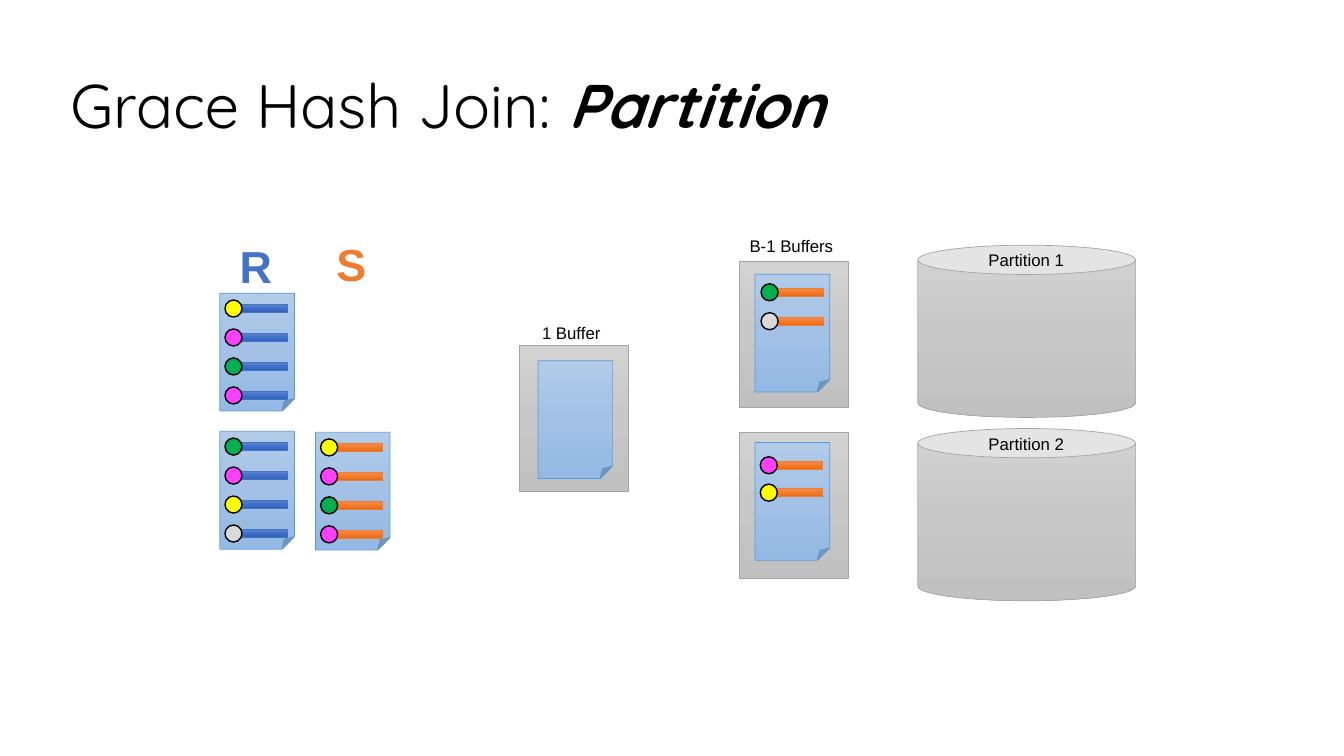
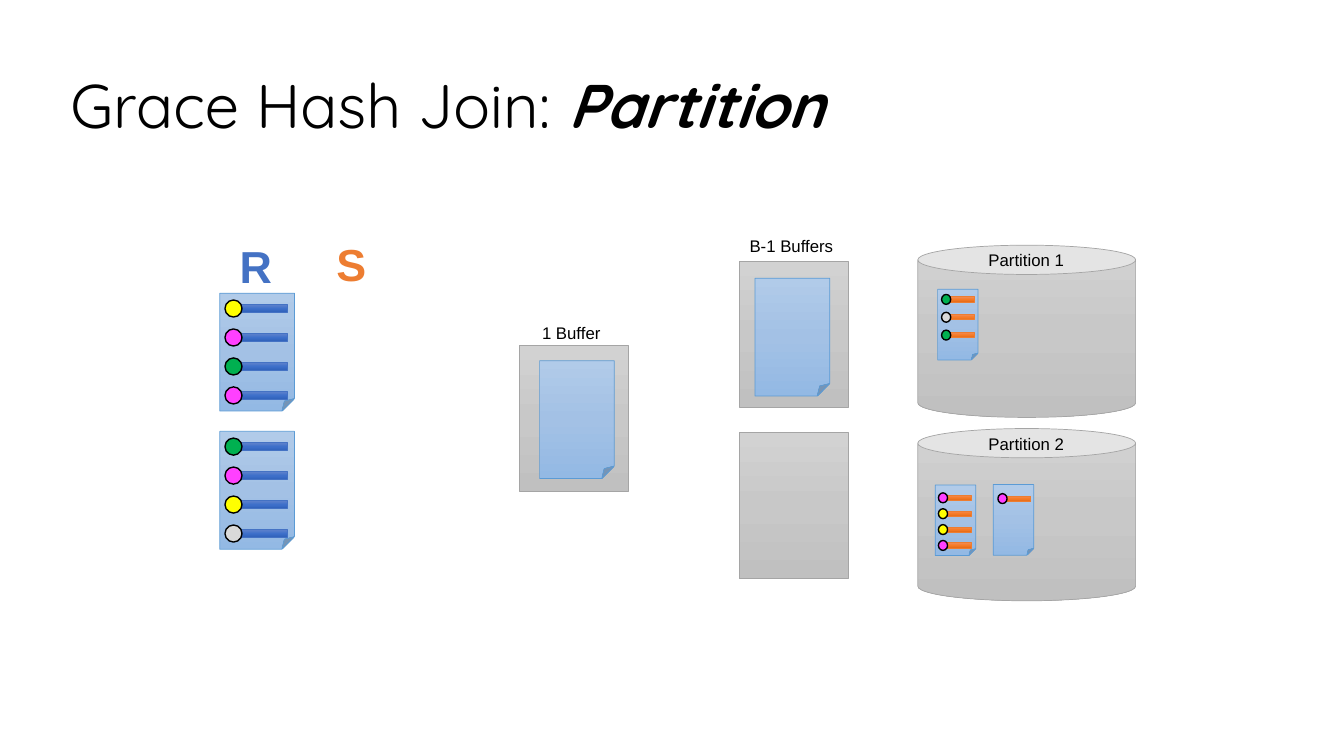
import copy
import pptx
import pptx.dml.color
import pptx.enum.shapes
import pptx.enum.text
import pptx.oxml.ns
import pptx.util

Cm = pptx.util.Cm
Pt = pptx.util.Pt
KIND = pptx.enum.shapes.MSO_SHAPE
FIT = pptx.enum.text.MSO_AUTO_SIZE

BLACK, BLUE, ORANGE = "000000", "4472C4", "ED7D31"
# Gradient stops from top to bottom, then the outline
GREY = ("D2D2D2", "C8C8C8", "C0C0C0", "A5A5A5")
PAPER = ("B1CBE9", "A3C1E5", "93B9E4", "5B9BD5")
BARS = {"R": ("6183CB", "3E70CA", "3062BB", BLUE),
        "S": ("F18C57", "F67B28", "E56C19", ORANGE)}
DOTS = {"y": "FFFF00", "p": "FF40FF", "g": "00B050", "w": "D9D9D9"}

# Lengths in cm; dx, dy place the first dot on its page
BIG = dict(page=(1.88, 2.97), dot=(0.43, 0.43), bar=(1.32, 0.2),
           shift=0.25, dx=0.13, dy=0.17, step=0.73)
SMALL = dict(page=(1.02, 1.78), dot=(0.23, 0.25), bar=(0.71, 0.13),
             shift=0.12, dx=0.08, dy=0.2, step=0.4)

TITLE = [("Grace Hash Join:", {}), (" Partition", dict(bold=True, italic=True))]
BUFFER, DISK = (2.74, 3.68), (5.49, 4.34)
BUFFERS = [(18.63, 6.58), (18.63, 10.9), (13.1, 8.71)]
DISKS = [(23.13, 6.18, "Partition 1"), (23.13, 10.8, "Partition 2")]
TAGS = [("B-1 Buffers", 18.64, 5.82, 2.64, {}),
        ("1 Buffer", 13.41, 8.0, 2.01, {}),
        ("R", 5.79, 5.89, 1.35, dict(size=32, bold=True, color=BLUE)),
        ("S", 8.23, 5.84, 1.27, dict(size=32, bold=True, color=ORANGE))]

# Pages: left, top, table, dots, size and changes to it
INPUT = [(5.54, 7.39, "R", "ypgp", BIG, {}),
         (5.54, 10.87, "R", "gpyw", BIG, {})]
STEPS = [
    [(7.95, 10.89, "S", "ypgp", BIG, {}),
     (19.03, 6.91, "S", "gw", BIG, dict(dx=0.15, dy=0.24)),
     (19.03, 11.15, "S", "py", BIG, dict(dy=0.36, step=0.69)),
     (13.56, 9.09, "S", "", BIG, {})],
    [(19.03, 7.01, "S", "", BIG, {}),
     (13.6, 9.09, "S", "", BIG, {}),
     (23.57, 12.22, "S", "pyyp", SMALL, {}),
     (23.63, 7.29, "S", "gwg", SMALL, dict(dx=0.1, dy=0.13, step=0.45)),
     (25.03, 12.21, "S", "p", SMALL, dict(dx=0.12, dy=0.23))],
]


def rgb(code):
    return pptx.dml.color.RGBColor.from_string(code)


def write(para, text, size=12, font="Arial", color=BLACK, bold=False, italic=False):
    run = para.add_run()
    run.text = text
    face = run.font
    face.name, face.size, face.bold, face.italic = font, Pt(size), bold, italic
    face.color.rgb = rgb(color)


def shade(fill, node, stops):
    """Fill from top to bottom with three evenly spaced colours."""
    fill.gradient()
    fill.gradient_angle = 270
    held = node.find(".//" + pptx.oxml.ns.qn("a:gsLst"))
    held.append(copy.deepcopy(held[0]))
    for i, (stop, code) in enumerate(zip(fill.gradient_stops, stops)):
        stop.color.rgb = rgb(code)
        stop.position = i / 2


def draw(shapes, kind, x, y, size, paint, line=0.5):
    """Add a shape; paint is one colour, or three stops and an outline."""
    shape = shapes.add_shape(kind, Cm(x), Cm(y), *map(Cm, size))
    shape.shadow.inherit = False
    if isinstance(paint, str):
        shape.fill.solid()
        shape.fill.fore_color.rgb = rgb(paint)
        edge = BLACK
    else:
        shade(shape.fill, shape.element, paint[:3])
        edge = paint[3]
    shape.line.color.rgb = rgb(edge)
    shape.line.width = Pt(line)
    return shape


def tag(slide, text, x, y, width, style):
    high = 1.63 if "size" in style else 0.77
    frame = slide.shapes.add_textbox(Cm(x), Cm(y), Cm(width), Cm(high)).text_frame
    frame.word_wrap = False
    frame.auto_size = FIT.SHAPE_TO_FIT_TEXT
    write(frame.paragraphs[0], text, **style)


def page(slide, x, y, table, dots, size, change):
    """Draw a page with one record, a dot and a bar, per letter in dots."""
    form = {**size, **change}
    draw(slide.shapes, KIND.FOLDED_CORNER, x, y, form["page"], PAPER)
    drop = (form["dot"][1] - form["bar"][1]) / 2
    for i, dot in enumerate(dots):
        left, top = x + form["dx"], y + form["dy"] + i * form["step"]
        group = slide.shapes.add_group_shape().shapes
        draw(group, KIND.RECTANGLE, left + form["shift"], top + drop,
             form["bar"], BARS[table])
        draw(group, KIND.OVAL, left, top, form["dot"], DOTS[dot], line=1)


def head(slide):
    title = slide.shapes.title
    title.left, title.top, title.width, title.height = map(Cm, (1.52, 0.89, 30, 3.68))
    frame = title.text_frame
    frame.word_wrap = True
    frame.auto_size = FIT.NONE
    frame.vertical_anchor = pptx.enum.text.MSO_ANCHOR.MIDDLE
    para = frame.paragraphs[0]
    para.alignment = pptx.enum.text.PP_ALIGN.LEFT
    para.line_spacing = 0.9
    for text, style in TITLE:
        write(para, text, size=44, font="Quicksand", **style)


def stage(slide):
    """Draw what every slide shares: title, buffers, disks and labels."""
    head(slide)
    for x, y in BUFFERS:
        draw(slide.shapes, KIND.RECTANGLE, x, y, BUFFER, GREY)
    for x, y, name in DISKS:
        disk = draw(slide.shapes, KIND.CAN, x, y, DISK, GREY)
        disk.adjustments[0] = 0.17
        tag(slide, name, x + 1.53, y, 2.44, {})
    for item in TAGS:
        tag(slide, *item)


def main():
    deck = pptx.Presentation()
    deck.slide_width, deck.slide_height = Cm(33.87), Cm(19.05)
    for pages in STEPS:
        slide = deck.slides.add_slide(deck.slide_layouts[5])
        stage(slide)
        for item in INPUT + pages:
            page(slide, *item)
    deck.save("out.pptx")


if __name__ == "__main__":
    main()
